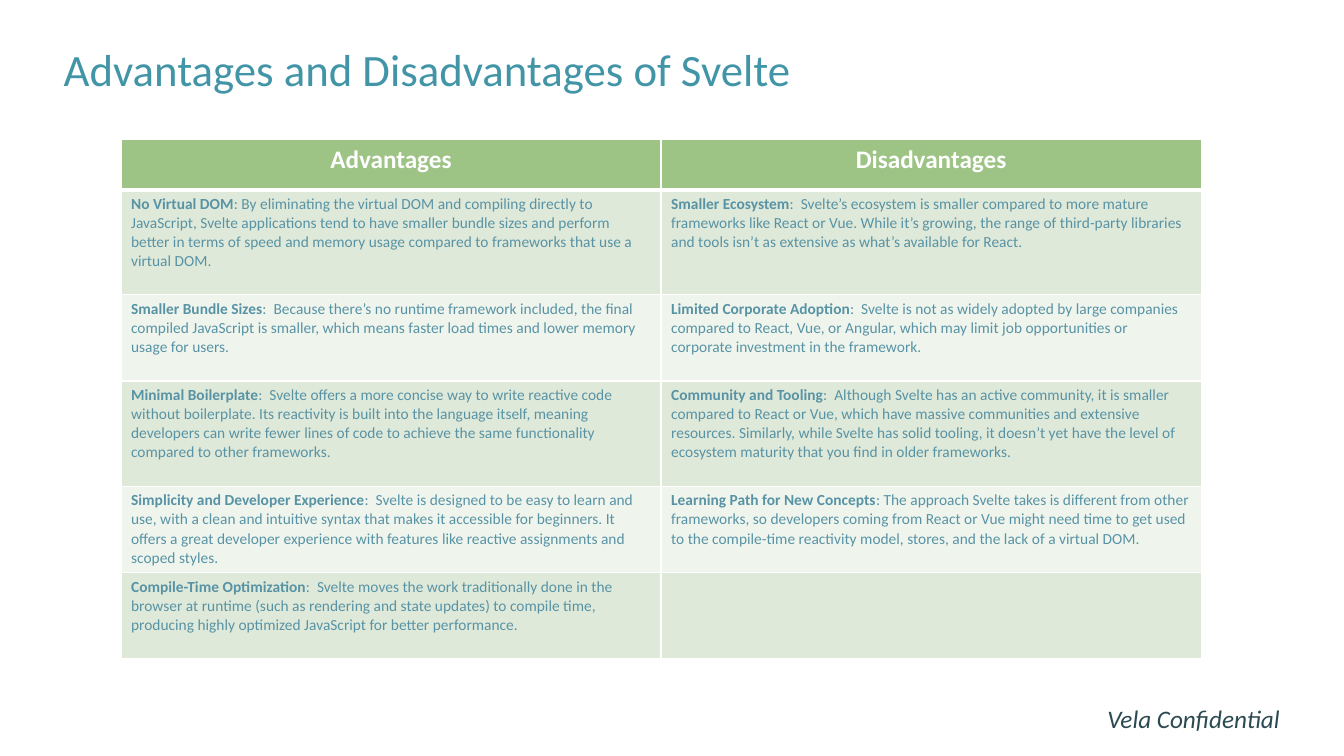
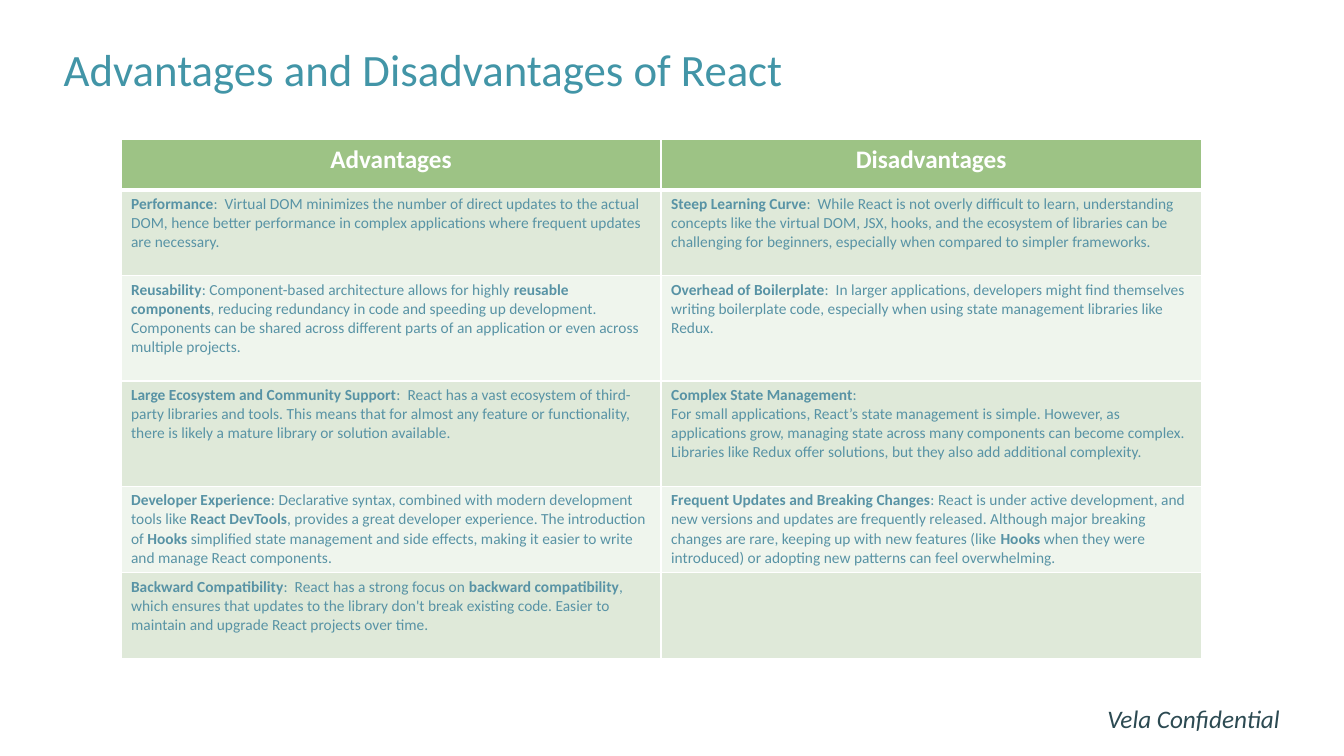
"""Build two slides comparing the advantages and disadvantages of Svelte and React."""
from lxml import etree
from pptx import Presentation
from pptx.dml.color import RGBColor
from pptx.enum.text import MSO_ANCHOR, MSO_AUTO_SIZE, PP_ALIGN
from pptx.oxml.ns import qn
from pptx.util import Cm, Pt

TOP, LEFT, CENTER = MSO_ANCHOR.TOP, PP_ALIGN.LEFT, PP_ALIGN.CENTER
FIT_SHAPE = MSO_AUTO_SIZE.SHAPE_TO_FIT_TEXT
TITLE_ONLY = 5
FONT = "Calibri"
COLORS = {
    "title": "4295A7",
    "footer": "2C4A52",
    "header": "9DC385",
    "band_dark": "DFE9D9",
    "band_light": "EFF5ED",
    "body": "5893A5",
    "white": "FFFFFF",
}
HEADERS = ("Advantages", "Disadvantages")
HEADER_HEIGHT, SHORT, TALL = 1.27, 2.17, 2.65

SLIDES = [
    ("Advantages and Disadvantages of Svelte", [
        (TALL,
         "**No Virtual DOM**: By eliminating the virtual DOM and compiling directly to JavaScript, Svelte applications "
         "tend to have smaller bundle sizes and perform better in terms of speed and memory usage compared to "
         "frameworks that use a virtual DOM.",
         "**Smaller Ecosystem**:  Svelte’s ecosystem is smaller compared to more mature frameworks like React or Vue. "
         "While it’s growing, the range of third-party libraries and tools isn’t as extensive as what’s available "
         "for React."),
        (SHORT,
         "**Smaller Bundle Sizes**:  Because there’s no runtime framework included, the final compiled JavaScript is "
         "smaller, which means faster load times and lower memory usage for users.",
         "**Limited Corporate Adoption**:  Svelte is not as widely adopted by large companies compared to React, Vue, "
         "or Angular, which may limit job opportunities or corporate investment in the framework."),
        (TALL,
         "**Minimal Boilerplate**:  Svelte offers a more concise way to write reactive code without boilerplate. Its "
         "reactivity is built into the language itself, meaning developers can write fewer lines of code to achieve "
         "the same functionality compared to other frameworks.",
         "**Community and Tooling**:  Although Svelte has an active community, it is smaller compared to React or Vue, "
         "which have massive communities and extensive resources. Similarly, while Svelte has solid tooling, it "
         "doesn’t yet have the level of ecosystem maturity that you find in older frameworks."),
        (SHORT,
         "**Simplicity and Developer Experience**:  Svelte is designed to be easy to learn and use, with a clean and "
         "intuitive syntax that makes it accessible for beginners. It offers a great developer experience with "
         "features like reactive assignments and scoped styles.",
         "**Learning Path for New Concepts**: The approach Svelte takes is different from other frameworks, so "
         "developers coming from React or Vue might need time to get used to the compile-time reactivity model, "
         "stores, and the lack of a virtual DOM."),
        (SHORT,
         "**Compile-Time Optimization**:  Svelte moves the work traditionally done in the browser at runtime (such as "
         "rendering and state updates) to compile time, producing highly optimized JavaScript for better performance.",
         ""),
    ]),
    ("Advantages and Disadvantages of React", [
        (SHORT,
         "**Performance**:  Virtual DOM minimizes the number of direct updates to the actual DOM, hence better "
         "performance in complex applications where frequent updates are necessary.",
         "**Steep Learning Curve**:  While React is not overly difficult to learn, understanding concepts like the "
         "virtual DOM, JSX, hooks, and the ecosystem of libraries can be challenging for beginners, especially when "
         "compared to simpler frameworks."),
        (TALL,
         "**Reusability**: Component-based architecture allows for highly **reusable components**, reducing redundancy "
         "in code and speeding up development. Components can be shared across different parts of an application or "
         "even across multiple projects.",
         "**Overhead of Boilerplate**:  In larger applications, developers might find themselves writing boilerplate "
         "code, especially when using state management libraries like Redux."),
        (TALL,
         "**Large Ecosystem and Community Support**:  React has a vast ecosystem of third-party libraries and tools. "
         "This means that for almost any feature or functionality, there is likely a mature library or solution "
         "available.",
         "**Complex State Management**:\n"
         "For small applications, React’s state management is simple. However, as applications grow, managing state "
         "across many components can become complex. Libraries like Redux offer solutions, but they also add "
         "additional complexity."),
        (SHORT,
         "**Developer Experience**: Declarative syntax, combined with modern development tools like **React DevTools**, "
         "provides a great developer experience. The introduction of **Hooks** simplified state management and side "
         "effects, making it easier to write and manage React components.",
         "**Frequent Updates and Breaking Changes**: React is under active development, and new versions and updates "
         "are frequently released. Although major breaking changes are rare, keeping up with new features (like "
         "**Hooks** when they were introduced) or adopting new patterns can feel overwhelming."),
        (SHORT,
         "**Backward Compatibility**:  React has a strong focus on **backward compatibility**, which ensures that "
         "updates to the library don't break existing code. Easier to maintain and upgrade React projects over time.",
         ""),
    ]),
]


def write(tf, text, size, color, align=LEFT, italic=None):
    """Write one paragraph per line, with **marked** parts in bold."""
    for i, line in enumerate(text.split("\n")):
        p = tf.add_paragraph() if i else tf.paragraphs[0]
        p.alignment = align
        for j, part in enumerate(line.split("**")):
            if part:
                r = p.add_run()
                r.text = part
                r.font.name = FONT
                r.font.size = Pt(size)
                r.font.bold = j % 2 == 1
                r.font.italic = italic
                r.font.color.rgb = RGBColor.from_string(COLORS[color])


def style_cell(cell, fill, top=1, bottom=1):
    """Give a cell white borders and a solid fill."""
    tcPr = cell._tc.get_or_add_tcPr()
    for side, width in (("L", 1), ("R", 1), ("T", top), ("B", bottom)):
        ln = etree.SubElement(tcPr, qn(f"a:ln{side}"), w=str(Pt(width)))
        solid = etree.SubElement(ln, qn("a:solidFill"))
        etree.SubElement(solid, qn("a:srgbClr"), val=COLORS["white"])
    cell.fill.solid()
    cell.fill.fore_color.rgb = RGBColor.from_string(COLORS[fill])


prs = Presentation()
prs.slide_width, prs.slide_height = Cm(33.87), Cm(19.05)

for title, rows in SLIDES:
    s = prs.slides.add_slide(prs.slide_layouts[TITLE_ONLY])

    sp = s.shapes.title
    sp.left, sp.top, sp.width, sp.height = Cm(1.35), Cm(1.07), Cm(26.42), Cm(1.88)
    tf = sp.text_frame
    tf.vertical_anchor = TOP
    write(tf, title, 32, "title")
    tf.paragraphs[0].line_spacing = 0.9

    tf = s.shapes.add_textbox(Cm(27.66), Cm(17.6), Cm(5.23), Cm(1.02)).text_frame
    tf.word_wrap = False
    tf.auto_size = FIT_SHAPE
    write(tf, "Vela Confidential", 18, "footer", italic=True)

    height = HEADER_HEIGHT + sum(row[0] for row in rows)
    table = s.shapes.add_table(len(rows) + 1, len(HEADERS), Cm(3.05), Cm(3.51), Cm(27.22), Cm(height)).table
    table.rows[0].height = Cm(HEADER_HEIGHT)
    for c, header in enumerate(HEADERS):
        cell = table.cell(0, c)
        style_cell(cell, "header", bottom=3)
        write(cell.text_frame, f"**{header}**", 18, "white", CENTER)

    for i, (row_height, *texts) in enumerate(rows, start=1):
        table.rows[i].height = Cm(row_height)
        for c, text in enumerate(texts):
            cell = table.cell(i, c)
            style_cell(cell, "band_dark" if i % 2 else "band_light", top=3 if i == 1 else 1)
            write(cell.text_frame, text, 11, "body")

prs.save("out.pptx")
